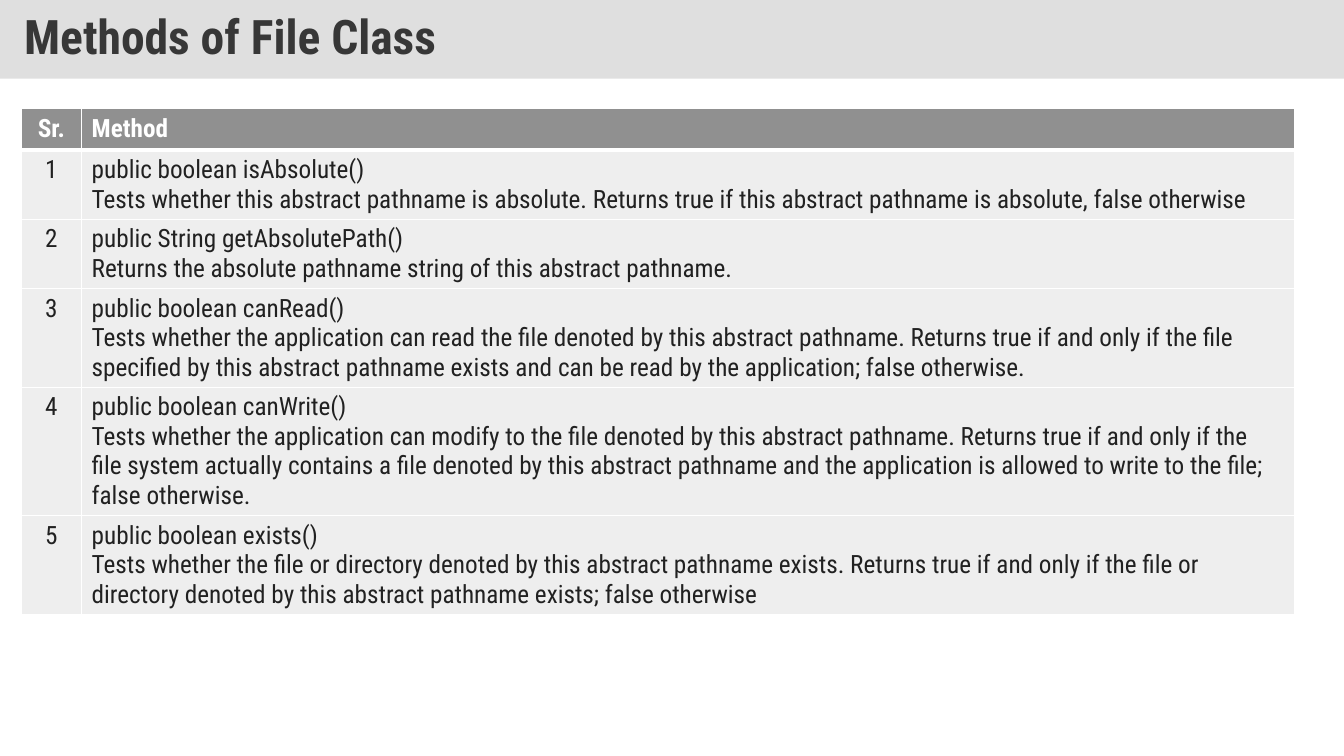
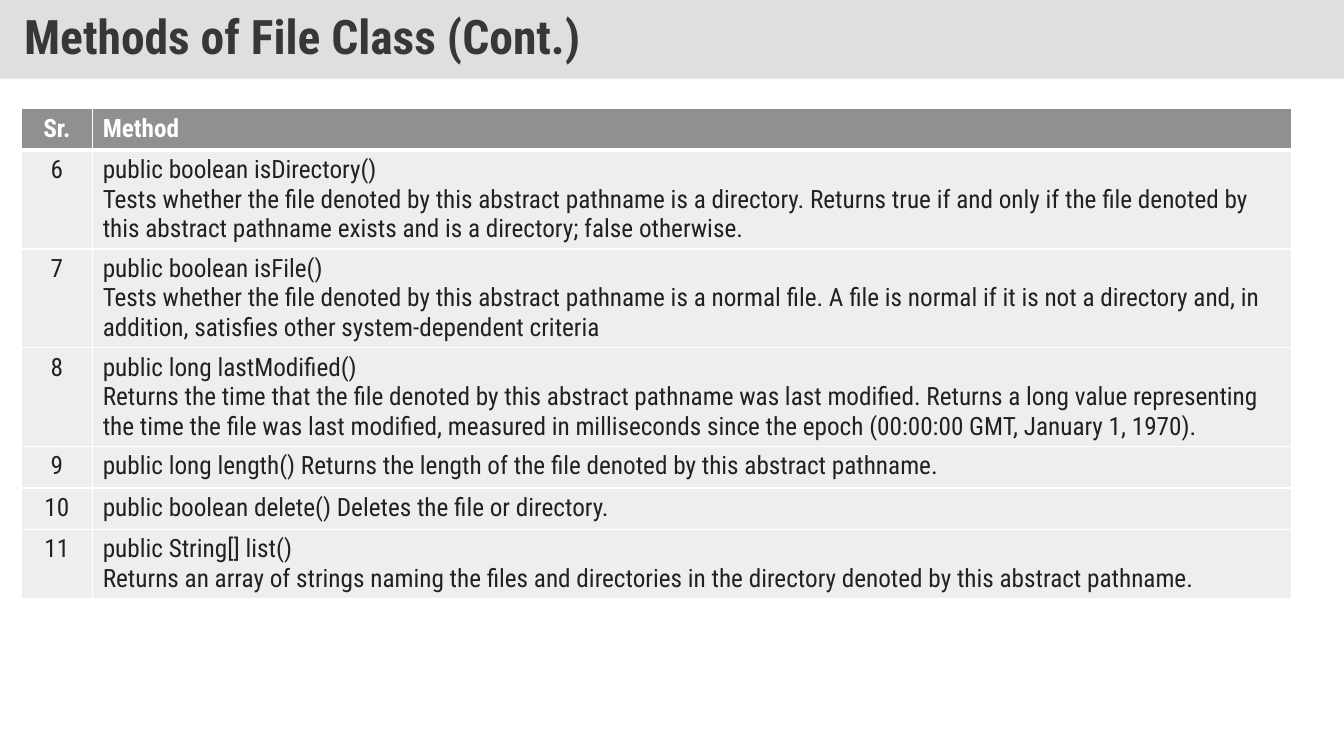
"""Build two slides that list the methods of the File class."""
from dataclasses import dataclass

from lxml import etree
from pptx import Presentation
from pptx.dml.color import RGBColor
from pptx.enum.text import MSO_ANCHOR, MSO_AUTO_SIZE, PP_ALIGN
from pptx.oxml.ns import qn
from pptx.util import Inches, Pt

LEFT, CENTER = PP_ALIGN.LEFT, PP_ALIGN.CENTER
MIDDLE, NO_AUTOFIT = MSO_ANCHOR.MIDDLE, MSO_AUTO_SIZE.NONE
TITLE_ONLY = 5

HEADINGS = ("Sr.", "Method")
SLIDES = [
    {
        "title": "Methods of File Class",
        "columns": (0.6, 12.03),
        "first_number": 1,
        "methods": [
            ("public boolean isAbsolute()",
             "Tests whether this abstract pathname is absolute. Returns true if this abstract "
             "pathname is absolute, false otherwise"),
            ("public String getAbsolutePath()",
             "Returns the absolute pathname string of this abstract pathname."),
            ("public boolean canRead()",
             "Tests whether the application can read the file denoted by this abstract pathname. "
             "Returns true if and only if the file specified by this abstract pathname exists "
             "and can be read by the application; false otherwise."),
            ("public boolean canWrite()",
             "Tests whether the application can modify to the file denoted by this abstract "
             "pathname. Returns true if and only if the file system actually contains a file "
             "denoted by this abstract pathname and the application is allowed to write to the "
             "file; false otherwise."),
            ("public boolean exists()",
             "Tests whether the file or directory denoted by this abstract pathname exists. "
             "Returns true if and only if the file or directory denoted by this abstract "
             "pathname exists; false otherwise"),
        ],
    },
    {
        "title": "Methods of File Class (Cont.)",
        "columns": (0.71, 11.89),
        "first_number": 6,
        "methods": [
            ("public boolean isDirectory()",
             "Tests whether the file denoted by this abstract pathname is a directory. Returns "
             "true if and only if the file denoted by this abstract pathname exists and is a "
             "directory; false otherwise."),
            ("public boolean isFile()",
             "Tests whether the file denoted by this abstract pathname is a normal file. A file "
             "is normal if it is not a directory and, in addition, satisfies other "
             "system-dependent criteria"),
            ("public long lastModified()",
             "Returns the time that the file denoted by this abstract pathname was last "
             "modified. Returns a long value representing the time the file was last modified, "
             "measured in milliseconds since the epoch (00:00:00 GMT, January 1, 1970)."),
            ("public long length() Returns the length of the file denoted by this abstract "
             "pathname.",),
            ("public boolean delete() Deletes the file or directory.",),
            ("public String[] list()",
             "Returns an array of strings naming the files and directories in the directory "
             "denoted by this abstract pathname."),
        ],
    },
]


@dataclass(frozen=True)
class Theme:
    """Colours, font and sizes that both slides share."""
    font: str = "Roboto Condensed"
    band: str = "C0C0C0"
    band_alpha: int = 50
    title: str = "373737"
    header: str = "909090"
    row: str = "EEEEEE"
    text: str = "212121"
    white: str = "FFFFFF"
    title_size: int = 34
    table_size: int = 18
    rule: int = 1
    header_rule: int = 3


THEME = Theme()
SLIDE_SIZE = (Inches(13.33), Inches(7.5))
TABLE_LEFT, TABLE_TOP, ROW_HEIGHT = Inches(0.21), Inches(1.08), Inches(0.41)
TITLE_BOX = {"left": 0, "top": 0, "width": SLIDE_SIZE[0], "height": Inches(0.78)}
TITLE_FRAME = {
    "auto_size": NO_AUTOFIT, "vertical_anchor": MIDDLE, "word_wrap": True,
    "margin_left": Inches(0.24), "margin_right": Inches(0.24),
    "margin_top": Inches(0.12), "margin_bottom": Inches(0.12),
}


def set_all(target, values):
    """Set each named attribute of the target."""
    for name, value in values.items():
        setattr(target, name, value)


def style_font(font, size, color, bold):
    """Apply the shared typeface with a size, colour and weight."""
    set_all(font, {"name": THEME.font, "size": Pt(size), "bold": bold})
    font.color.rgb = RGBColor.from_string(color)


def fill_solid(fill, color):
    """Fill with one plain colour."""
    fill.solid()
    fill.fore_color.rgb = RGBColor.from_string(color)


def add_title(slide, text):
    """Turn the title placeholder into the translucent band."""
    title = slide.shapes.title
    set_all(title, TITLE_BOX)
    fill_solid(title.fill, THEME.band)
    color = next(title.fill._xPr.iter(qn("a:srgbClr")))
    etree.SubElement(color, qn("a:alpha"), val=str(THEME.band_alpha * 1000))
    frame = title.text_frame
    set_all(frame, TITLE_FRAME)
    frame.text = text
    paragraph = frame.paragraphs[0]
    set_all(paragraph, {"alignment": LEFT, "line_spacing": 0.9})
    style_font(paragraph.runs[0].font, THEME.title_size, THEME.title, True)


def add_borders(cell, row):
    """Rule the cell in white, thicker between the header and the body."""
    widths = dict.fromkeys(("a:lnL", "a:lnR", "a:lnT", "a:lnB"), THEME.rule)
    if row < 2:
        widths["a:lnT" if row else "a:lnB"] = THEME.header_rule
    properties = cell._tc.get_or_add_tcPr()
    for side, width in widths.items():
        line = etree.SubElement(properties, qn(side), w=str(Pt(width)))
        solid = etree.SubElement(line, qn("a:solidFill"))
        etree.SubElement(solid, qn("a:srgbClr"), val=THEME.white)


def fill_cell(cell, lines, row, column):
    """Write the cell's paragraphs and format it by its place in the table."""
    is_header = row == 0
    add_borders(cell, row)
    fill_solid(cell.fill, THEME.header if is_header else THEME.row)
    cell.text_frame.text = "\n".join(lines)
    color = THEME.white if is_header else THEME.text
    for paragraph in cell.text_frame.paragraphs:
        paragraph.alignment = LEFT if column else CENTER
        style_font(paragraph.runs[0].font, THEME.table_size, color, is_header)


def add_methods(slide, columns, first_number, methods):
    """Add the numbered table of methods."""
    rows = [[(heading,) for heading in HEADINGS]]
    rows += [[(str(number),), lines] for number, lines in enumerate(methods, first_number)]
    table = slide.shapes.add_table(
        len(rows), len(columns), TABLE_LEFT, TABLE_TOP,
        Inches(sum(columns)), ROW_HEIGHT * len(rows)).table
    table.horz_banding = False
    for column, width in zip(table.columns, columns):
        column.width = Inches(width)
    for row, entries in enumerate(rows):
        for column, lines in enumerate(entries):
            fill_cell(table.cell(row, column), lines, row, column)


def main():
    """Build and save the presentation."""
    deck = Presentation()
    deck.slide_width, deck.slide_height = SLIDE_SIZE
    for content in SLIDES:
        slide = deck.slides.add_slide(deck.slide_layouts[TITLE_ONLY])
        add_title(slide, content["title"])
        add_methods(slide, content["columns"], content["first_number"], content["methods"])
    deck.save("out.pptx")


if __name__ == "__main__":
    main()
